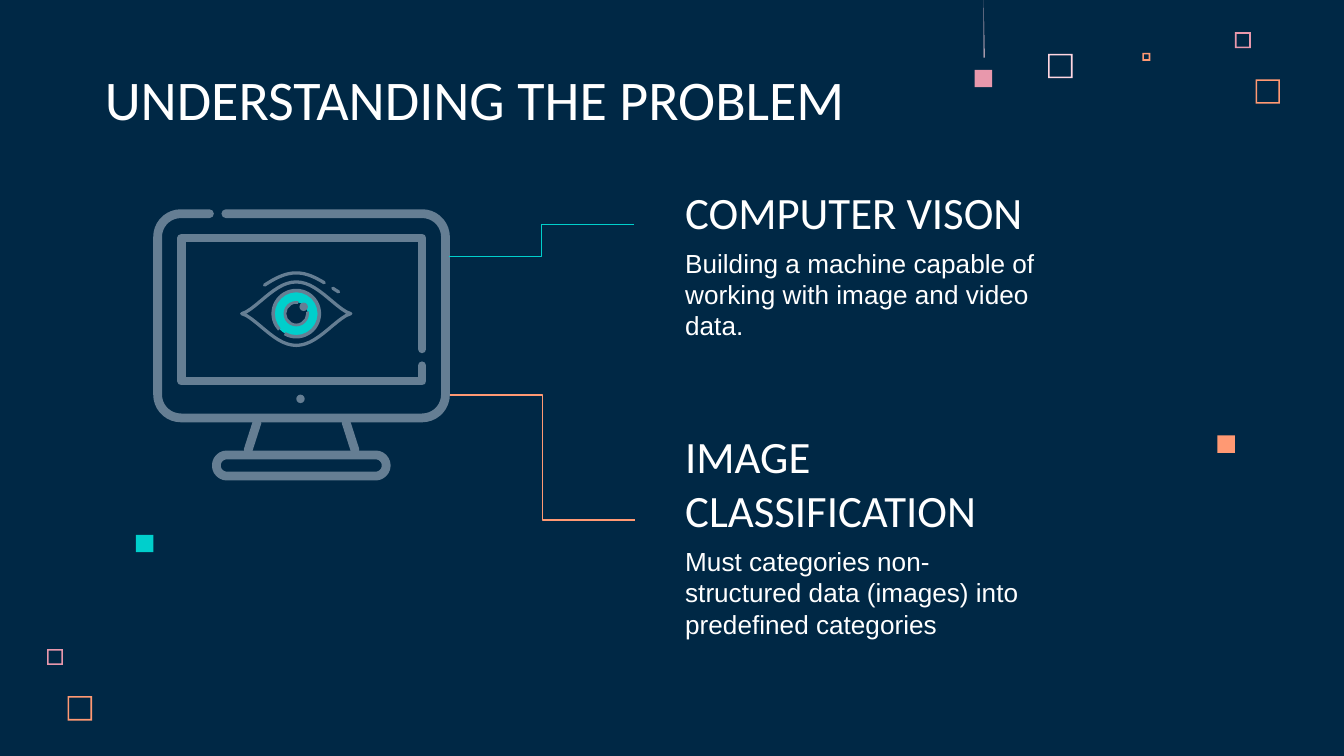
from math import cos, pi, radians, sin

from lxml.etree import SubElement
from pptx import Presentation
from pptx.dml.color import RGBColor
from pptx.enum.shapes import MSO_CONNECTOR, MSO_SHAPE
from pptx.enum.text import MSO_ANCHOR, MSO_AUTO_SIZE, PP_ALIGN
from pptx.oxml.ns import qn
from pptx.util import Cm, Pt

COLORS = {
    "navy": "002845", "white": "FFFFFF", "blush": "FFD6E1", "pink": "E898AC",
    "orange": "FF9973", "teal": "00CFCC", "slate": "657E93",
}
COLORS = {name: RGBColor.from_string(value) for name, value in COLORS.items()}

# All positions below are in centimetres
EYE_X, EYE_Y = 5.6, 5.93
EYE_HALF_WIDTH = 1.03
MONITOR_X = 5.7


def lid_curve(start, end, peak_y, rise):
    """Points of an eyelid curve between two distances from the eye's middle."""
    points = []
    for i in range(25):
        offset = start + (end - start) * i / 24
        bend = max(cos(pi / 2 * offset / EYE_HALF_WIDTH), 0) ** 1.4
        points.append((EYE_X + offset, peak_y + rise * (1 - bend)))
    return points


def draw_stroke(page, points, weight, closed=False):
    """Draw a slate line with round ends and joins through the points."""
    corners = [(Cm(x), Cm(y)) for x, y in points]
    builder = page.shapes.build_freeform(*corners[0], scale=1.0)
    builder.add_line_segments(corners[1:], close=closed)
    stroke = builder.convert_to_shape()
    stroke.shadow.inherit = False
    stroke.fill.background()
    stroke.line.color.rgb = COLORS["slate"]
    stroke.line.width = Pt(weight)
    line = stroke._element.spPr.find(qn("a:ln"))
    line.set("cap", "rnd")
    SubElement(line, qn("a:round"))


deck = Presentation()
deck.slide_width, deck.slide_height = Cm(25.4), Cm(14.29)
page = deck.slides.add_slide(deck.slide_layouts[5])
page.background.fill.solid()
page.background.fill.fore_color.rgb = COLORS["navy"]

# Monitor body: clockwise round four corners, open at the top left
left, top, right, bottom, radius = 2.98, 4.04, 8.42, 7.9, 0.44
corner_centres = [
    (right - radius, top + radius), (right - radius, bottom - radius),
    (left + radius, bottom - radius), (left + radius, top + radius)]
body = [(4.27, top)]
for quarter, (centre_x, centre_y) in enumerate(corner_centres):
    for degrees in range(0, 91, 10):
        angle = radians(90 * quarter - 90 + degrees)
        body.append((centre_x + radius * cos(angle), centre_y + radius * sin(angle)))
body.append((3.96, top))
draw_stroke(page, body, 4.7)

# Screen edge: open on the right-hand side
left, top, right, bottom = 3.43, 4.5, 7.98, 7.21
screen = [(right, 6.6), (right, top), (left, top),
          (left, bottom), (right, bottom), (right, 6.91)]
draw_stroke(page, screen, 4.4)

# Stand: two mirrored legs on a rounded base
for side in (-1, 1):
    leg = [(MONITOR_X + side * 0.84, 7.98), (MONITOR_X + side * 1.01, 8.51)]
    draw_stroke(page, leg, 4.7)
base = []
for middle_x, first_degree in ((7.1, -90), (4.29, 90)):
    for degrees in range(first_degree, first_degree + 181, 15):
        angle = radians(degrees)
        base.append((middle_x + 0.2 * cos(angle), 8.8 + 0.2 * sin(angle)))
draw_stroke(page, base, 4.7, closed=True)

# Eye: the lower lid mirrors the upper; the brow breaks into a dash
LID_RISE = 0.6
upper_lid = lid_curve(-EYE_HALF_WIDTH, EYE_HALF_WIDTH, EYE_Y - LID_RISE, LID_RISE)
lower_lid = [(x, 2 * EYE_Y - y) for x, y in reversed(upper_lid)]
draw_stroke(page, upper_lid + lower_lid[1:-1], 1.75, closed=True)
for brow_start, brow_end in ((-0.6, 0.53), (0.69, 0.8)):
    draw_stroke(page, lid_curve(brow_start, brow_end, 5.16, 0.46), 1.75)

# Filled shapes: kind, left, top, width, height, colour, adjustments
filled = []

# Hollow squares: the top-right pair comes again at the bottom left
FRAME_WEIGHT = 0.03
hollow_squares = [(19.81, 1.02, 0.46, "blush"), (21.59, 1.0, 0.15, "orange")]
for shift_x, shift_y in ((0, 0), (-22.45, 11.66)):
    hollow_squares.append((23.34 + shift_x, 0.61 + shift_y, 0.3, "pink"))
    hollow_squares.append((23.73 + shift_x, 1.5 + shift_y, 0.46, "orange"))
for left, top, side, color in hollow_squares:
    filled.append((MSO_SHAPE.FRAME, left, top, side, side, color, [FRAME_WEIGHT / side]))

# Solid squares, one hanging from a tapered thread
for left, top, color in (
        (18.42, 1.32, "pink"), (2.57, 10.11, "teal"), (23.01, 8.23, "orange")):
    filled.append((MSO_SHAPE.RECTANGLE, left, top, 0.33, 0.33, color, []))
filled.append((MSO_SHAPE.RIGHT_TRIANGLE, 18.59, 0, 0.02, 1.09, "blush", []))

# Round parts by centre and diameter: iris, rim, pupil, highlight, power light
DEGREE = 0.6  # one degree in adjustment units
for kind, centre_x, centre_y, diameter, color, adjustments in (
        (MSO_SHAPE.DONUT, EYE_X, EYE_Y, 0.86, "teal", [0.25]),
        (MSO_SHAPE.BLOCK_ARC, EYE_X, EYE_Y, 0.94, "slate",
         [137 * DEGREE, 120 * DEGREE, 0.07]),
        (MSO_SHAPE.BLOCK_ARC, EYE_X, EYE_Y, 0.48, "slate",
         [350 * DEGREE, 280 * DEGREE, 0.11]),
        (MSO_SHAPE.OVAL, 5.74, 5.8, 0.16, "slate", []),
        (MSO_SHAPE.OVAL, 5.68, 7.54, 0.16, "slate", [])):
    filled.append((kind, centre_x - diameter / 2, centre_y - diameter / 2,
                   diameter, diameter, color, adjustments))

for kind, left, top, width, height, color, adjustments in filled:
    shape = page.shapes.add_shape(kind, Cm(left), Cm(top), Cm(width), Cm(height))
    for index, value in enumerate(adjustments):
        shape.adjustments[index] = value
    shape.shadow.inherit = False
    shape.fill.solid()
    shape.fill.fore_color.rgb = COLORS[color]
    shape.line.fill.background()

# Elbow lines from the monitor to the two topics
for start_x, start_y, end_x, end_y, color in (
        (8.48, 4.85, 11.99, 4.24, "teal"), (8.5, 7.47, 12.01, 9.83, "orange")):
    elbow = page.shapes.add_connector(
        MSO_CONNECTOR.ELBOW, Cm(start_x), Cm(start_y), Cm(end_x), Cm(end_y))
    elbow.line.color.rgb = COLORS[color]
    elbow.line.width = Pt(0.75)
    SubElement(elbow._element.spPr, qn("a:effectLst"))

# Title, topic headings and descriptions
texts = [(page.shapes.title, "UNDERSTANDING THE PROBLEM", 1.73, 1.14, 17.09, 1.6, 30)]
for top, heading, description in (
        (3.15, "COMPUTER VISON",
         "Building a machine capable of working with image and video data."),
        (8.79, "IMAGE CLASSIFICATION",
         "Must categories non-structured data (images) into predefined categories")):
    texts.append((None, heading, 12.7, top, 7.98, 1.6, 24))
    texts.append((None, description, 12.7, top + 1.27, 7.29, 3.1, 14))

for box, text, left, top, width, height, size in texts:
    if box is None:
        box = page.shapes.add_textbox(0, 0, 0, 0)
    box.left, box.top = Cm(left), Cm(top)
    box.width, box.height = Cm(width), Cm(height)
    is_heading = size > 14
    frame = box.text_frame
    frame.word_wrap = True
    frame.auto_size = MSO_AUTO_SIZE.NONE
    frame.vertical_anchor = MSO_ANCHOR.BOTTOM if is_heading else MSO_ANCHOR.TOP
    frame.margin_left = frame.margin_right = Cm(0.25)
    frame.margin_top = frame.margin_bottom = Cm(0.25)
    para = frame.paragraphs[0]
    para.alignment = PP_ALIGN.LEFT
    para.line_spacing = 1.0
    span = para.add_run()
    span.text = text
    span.font.name = "Calibri" if is_heading else "Arial"
    span.font.size = Pt(size)
    span.font.color.rgb = COLORS["white"]

deck.save("out.pptx")
